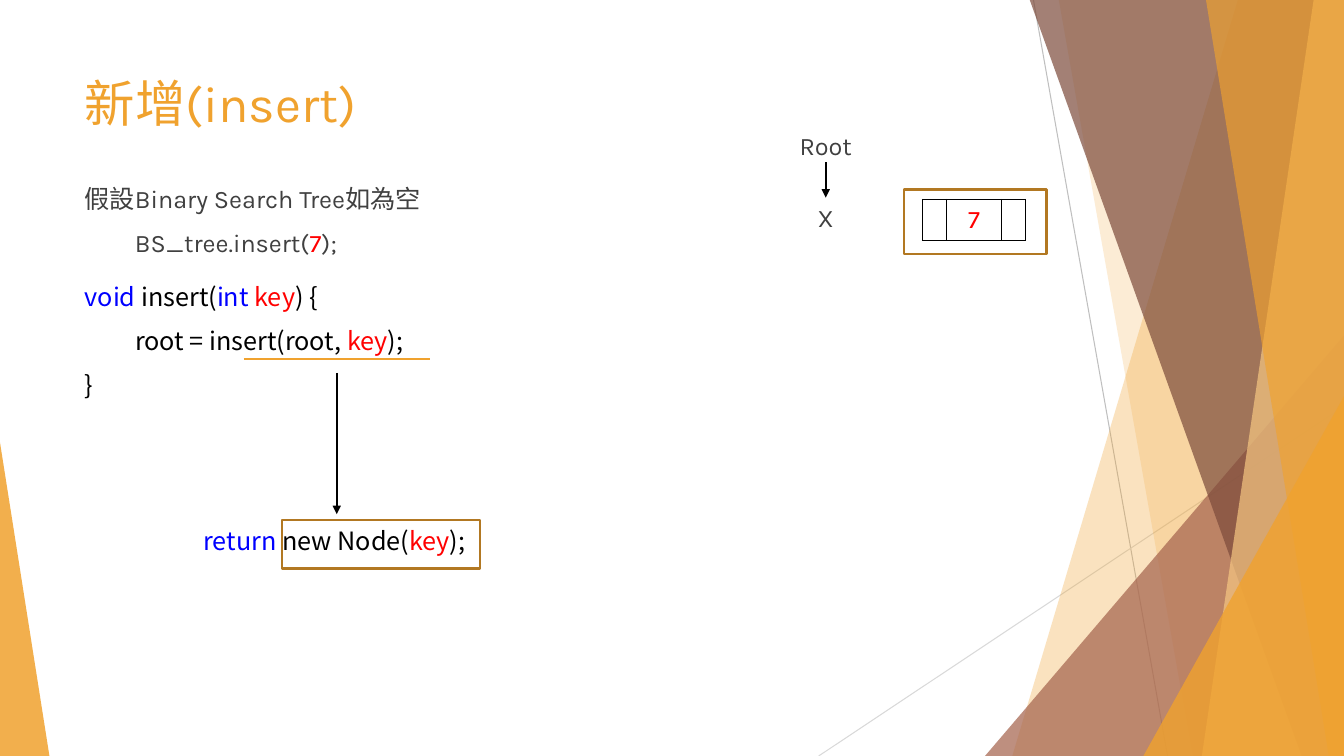
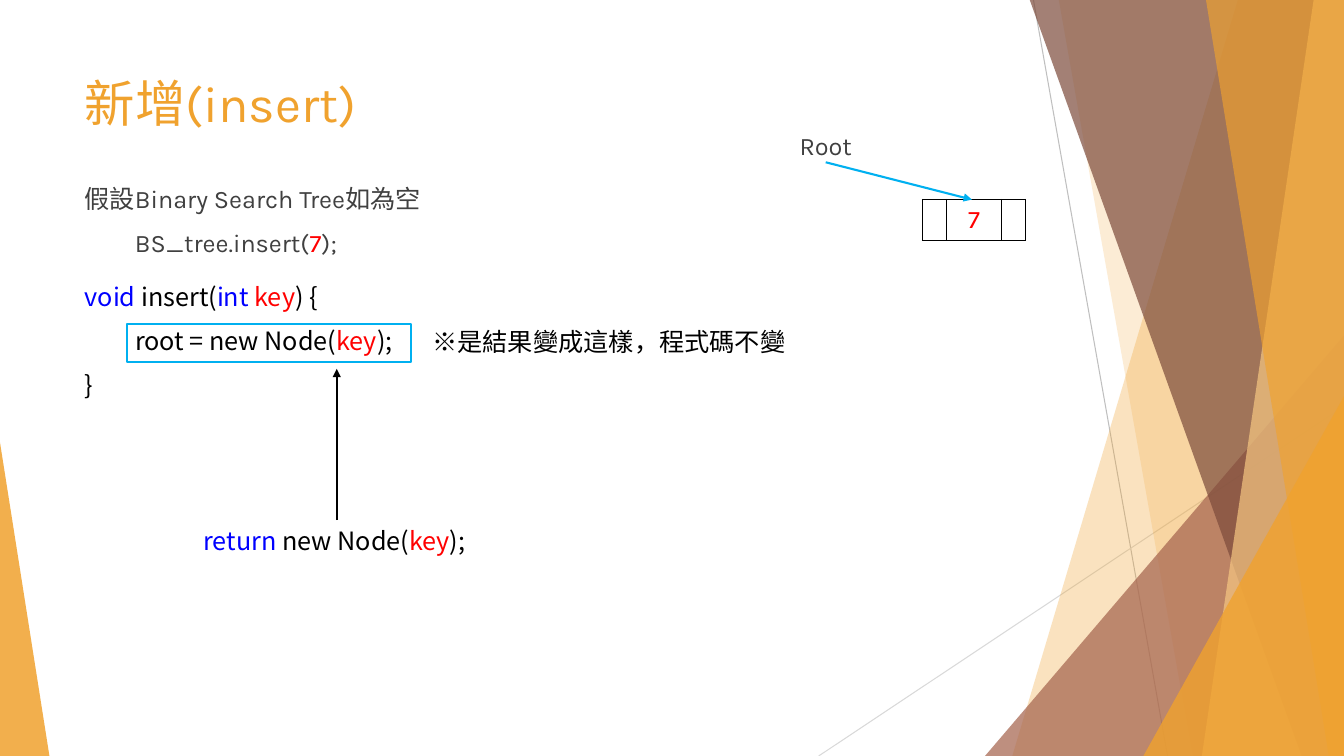
import dataclasses
import typing

import lxml.etree
import pptx
import pptx.dml.color
import pptx.enum.shapes
import pptx.enum.text
import pptx.oxml
import pptx.oxml.ns
import pptx.util

PX = 9144
W, H = 1333, 750
COLORS = {
    "amber": "F0A22E", "sand": "F6C782", "rust": "A5644E", "brown": "7C4B3B",
    "ochre": "B27822", "sky": "00B0F0", "gray": "404040", "silver": "BFBFBF",
    "pale": "D9D9D9", "black": "000000", "blue": "0000FF", "red": "FF0000",
}
KARLA, CODE, ARIAL = "Karla", "Noto Sans CJK TC", "Arial"
LEFT = pptx.enum.text.PP_ALIGN.LEFT
CENTER = pptx.enum.text.PP_ALIGN.CENTER
SHAPE = pptx.enum.shapes.MSO_SHAPE
qn = pptx.oxml.ns.qn


class Box(typing.NamedTuple):
    """Left, top, width and height in px."""
    x: int
    y: int
    w: int
    h: int


class Run(typing.NamedTuple):
    """A piece of text in one colour."""
    text: str
    color: str = "black"


@dataclasses.dataclass(frozen=True)
class Band:
    """A translucent background band, from its top left and bottom left corners."""
    top: int
    bottom: int
    color: str
    alpha: int


@dataclasses.dataclass(frozen=True)
class Wedge:
    """A translucent corner triangle."""
    box: Box
    apex: int
    color: str
    alpha: int


@dataclasses.dataclass(frozen=True)
class Line:
    """A straight line, with an arrowhead at its end if wanted."""
    start: tuple[int, int]
    end: tuple[int, int]
    color: str
    width: float = 1.5
    arrow: bool = True


Lines = list[list[Run]]

BACKDROP = [
    Line((1025, 0), (1158, H), "silver", 0.75, False),
    Line((W, 403), (812, H), "pale", 0.75, False),
    Band(1228, 1004, "amber", 30),
    Band(1050, 1183, "amber", 20),
    Wedge(Box(977, 333, 356, 417), 1, "rust", 72),
    Band(1021, 1291, "brown", 70),
    Band(1303, 1192, "sand", 70),
    Band(1196, 1318, "amber", 65),
    Wedge(Box(1134, 393, 199, 357), 1, "amber", 80),
    Wedge(Box(0, 439, 49, 311), 0, "amber", 85),
]
TITLE_BOX = Box(74, 67, 940, 94)
INTRO_BOX = Box(74, 177, 535, 83)
BODY_BOX = Box(74, 274, 487, 166)
ROOT_BOX = Box(773, 124, 92, 45)
EMPTY_BOX = Box(773, 196, 92, 45)
RETURN_BOX = Box(192, 516, 284, 40)
NOTE_BOX = Box(419, 319, 446, 40)
NODE_BOX = Box(915, 198, 100, 41)
NODE_COLS = (23, 54, 23)
INTRO = [
    [Run("假設Binary Search Tree如為空", "gray")],
    [Run("\tBS_tree.insert(", "gray"), Run("7", "red"), Run(");", "gray")],
]
KEY_END = [Run("key", "red"), Run(");")]
RETURN = [[Run("return", "blue"), Run(" new Node("), *KEY_END]]


def px(n: float) -> int:
    """Turn px into EMU."""
    return pptx.util.Emu(round(n * PX))


def place(box: Box) -> list[int]:
    """Give a box as four EMU lengths."""
    return [px(n) for n in box]


def rgb(name: str) -> pptx.dml.color.RGBColor:
    """Look up a colour."""
    return pptx.dml.color.RGBColor.from_string(COLORS[name])


def child(parent: typing.Any, tag: str, **attrs: str) -> typing.Any:
    """Append a DrawingML element."""
    return lxml.etree.SubElement(parent, qn(tag), attrs)


def tint(sp: typing.Any, color: str, alpha: int) -> None:
    """Fill a shape translucently, without outline."""
    sp.shadow.inherit = False
    sp.line.fill.background()
    sp.fill.solid()
    sp.fill.fore_color.rgb = rgb(color)
    clr = sp.element.spPr.find(qn("a:solidFill"))[0]
    child(clr, "a:alpha", val=str(alpha * 1000))


def add_band(s: typing.Any, band: Band) -> None:
    """Draw a band that runs to the right edge."""
    fb = s.shapes.build_freeform(band.top, -1, scale=PX)
    fb.add_line_segments([(W, -1), (W, H), (band.bottom, H)], close=True)
    tint(fb.convert_to_shape(), band.color, band.alpha)


def add_wedge(s: typing.Any, wedge: Wedge) -> None:
    """Draw a corner triangle."""
    sp = s.shapes.add_shape(SHAPE.ISOSCELES_TRIANGLE, *place(wedge.box))
    sp.adjustments[0] = wedge.apex
    tint(sp, wedge.color, wedge.alpha)


def add_line(s: typing.Any, line: Line) -> typing.Any:
    """Draw a line or arrow."""
    ends = [px(n) for n in (*line.start, *line.end)]
    cx = s.shapes.add_connector(pptx.enum.shapes.MSO_CONNECTOR.STRAIGHT, *ends)
    cx.line.color.rgb = rgb(line.color)
    cx.line.width = pptx.util.Pt(line.width)
    if line.arrow:
        child(cx.line._get_or_add_ln(), "a:tailEnd", type="triangle")
    child(cx.element.spPr, "a:effectLst")
    return cx


def add_frame(s: typing.Any, box: Box, color: str) -> typing.Any:
    """Draw an unfilled rectangle."""
    sp = s.shapes.add_shape(SHAPE.RECTANGLE, *place(box))
    sp.shadow.inherit = False
    sp.fill.background()
    sp.line.color.rgb = rgb(color)
    sp.line.width = pptx.util.Pt(1.5)
    return sp


def write(tf: typing.Any, lines: Lines, font: str, size: int = 18,
          before: int = 0, align: typing.Any = LEFT) -> None:
    """Fill a text frame run by run."""
    tf.word_wrap = True
    tf.auto_size = pptx.enum.text.MSO_AUTO_SIZE.NONE
    tf.vertical_anchor = pptx.enum.text.MSO_ANCHOR.TOP
    for i, runs in enumerate(lines):
        p = tf.add_paragraph() if i else tf.paragraphs[0]
        p.alignment = align
        p.space_before = pptx.util.Pt(before)
        pPr = p._p.get_or_add_pPr()
        pPr.set("marL", "0")
        pPr.set("indent", "0")
        child(pPr, "a:buNone")
        child(child(pPr, "a:tabLst"), "a:tab", pos=str(px(50)), algn="l")
        for run in runs:
            r = p.add_run()
            r.text = run.text
            r.font.name = font
            r.font.size = pptx.util.Pt(size)
            r.font.color.rgb = rgb(run.color)
            child(r.font._element, "a:ea", typeface=CODE)


def add_text(s: typing.Any, box: Box, lines: Lines, font: str,
             before: int = 0, align: typing.Any = LEFT) -> typing.Any:
    """Add a text box."""
    sp = s.shapes.add_textbox(*place(box))
    write(sp.text_frame, lines, font, before=before, align=align)
    return sp


def add_node(s: typing.Any) -> None:
    """Add the tree node as a three-cell table."""
    table = s.shapes.add_table(1, len(NODE_COLS), *place(NODE_BOX)).table
    table.first_row = table.horz_banding = False
    for i, width in enumerate(NODE_COLS):
        table.columns[i].width = px(width)
        cell = table.cell(0, i)
        if i == 1:
            write(cell.text_frame, [[Run("7", "red")]], KARLA, align=CENTER)
        cell.vertical_anchor = pptx.enum.text.MSO_ANCHOR.MIDDLE
        tcPr = cell._tc.get_or_add_tcPr()
        for side in ("a:lnL", "a:lnR", "a:lnT", "a:lnB"):
            fill = child(child(tcPr, side, w=str(pptx.util.Pt(1))), "a:solidFill")
            child(fill, "a:srgbClr", val=COLORS["black"])
        cell.fill.background()


def set_layout(prs: typing.Any) -> typing.Any:
    """Put the backdrop and placeholder positions on the layout."""
    layout = prs.slide_layouts[1]
    for ph, box in zip(layout.placeholders, (TITLE_BOX, BODY_BOX)):
        ph.left, ph.top, ph.width, ph.height = place(box)
    return layout


def move_to_layout(s: typing.Any, layout: typing.Any) -> None:
    """Draw the backdrop and hand its shapes to the layout."""
    draw = {Line: add_line, Band: add_band, Wedge: add_wedge}
    kept = len(s.shapes)
    for part in BACKDROP:
        draw[type(part)](s, part)
    for sp in list(s.shapes)[kept:]:
        layout.shapes.element.append(sp.element)


def add_slide(prs: typing.Any, layout: typing.Any, statement: list[Run]) -> typing.Any:
    """Add a slide with the title, code and node common to all steps."""
    s = prs.slides.add_slide(layout)
    write(s.shapes.title.text_frame, [[Run("新增(insert)", "amber")]], KARLA, 36)
    code = [
        [Run("void", "blue"), Run(" insert("), Run("int ", "blue"),
         Run("key", "red"), Run(") {")],
        [Run("\t", "blue"), *statement, *KEY_END],
        [Run("}")],
    ]
    write(s.placeholders[1].text_frame, code, CODE, before=10)
    add_text(s, INTRO_BOX, INTRO, KARLA, 10)
    add_text(s, ROOT_BOX, [[Run("Root", "gray")]], KARLA, 10, CENTER)
    add_text(s, RETURN_BOX, RETURN, CODE)
    add_node(s)
    return s


def add_empty_tree(s: typing.Any) -> None:
    """Show the call and the new node beside an empty tree."""
    add_line(s, Line((334, 370), (334, 510), "black"))
    add_line(s, Line((242, 356), (426, 356), "amber", arrow=False))
    empty = add_text(s, EMPTY_BOX, [[Run("X", "gray")]], KARLA, 10, CENTER)
    arrow = add_line(s, Line((819, 161), (819, 196), "black"))
    arrow.end_connect(empty, 0)
    add_frame(s, Box(280, 516, 196, 48), "ochre")
    add_frame(s, Box(897, 188, 141, 64), "ochre")


def add_linked_node(s: typing.Any) -> None:
    """Show the returned node becoming the root."""
    add_line(s, Line((819, 161), (964, 198), "sky"))
    add_frame(s, Box(126, 321, 282, 38), "sky")
    arrow = add_line(s, Line((334, 516), (334, 366), "black"))
    arrow.begin_connect(next(sp for sp in s.shapes if sp.has_text_frame
                             and sp.top == px(RETURN_BOX.y)), 0)
    add_text(s, NOTE_BOX, [[Run("※是結果變成這樣，程式碼不變")]], ARIAL)


def main() -> None:
    """Build the deck."""
    prs = pptx.Presentation()
    prs.slide_width, prs.slide_height = px(W), px(H)
    layout = set_layout(prs)
    first = add_slide(prs, layout, [Run("root = insert(root, ")])
    move_to_layout(first, layout)
    add_empty_tree(first)
    add_linked_node(add_slide(prs, layout, [Run("root = new Node(")]))
    prs.save("out.pptx")


if __name__ == "__main__":
    main()
